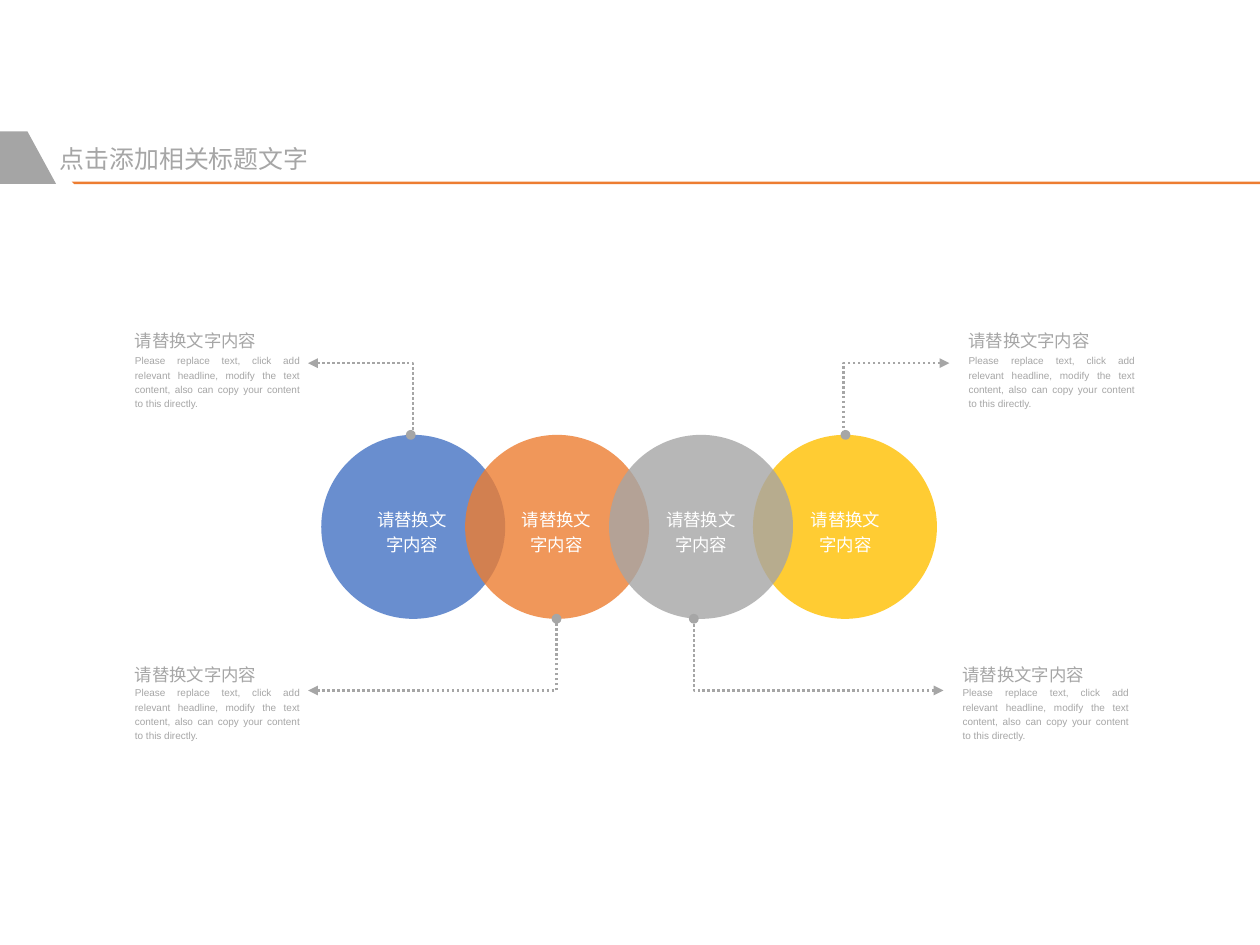
"""Build a slide of four overlapping circles with dotted callouts."""
import pptx
import pptx.dml.color
import pptx.enum.dml
import pptx.enum.shapes
import pptx.enum.text
import pptx.oxml
import pptx.oxml.ns
import pptx.util

Inches = pptx.util.Inches
Align = pptx.enum.text.PP_ALIGN

COLORS = {
    "blue": "4472C4",
    "orange": "ED7D31",
    "gray": "A5A5A5",
    "yellow": "FFC000",
    "text": "A6A6A6",
    "white": "FFFFFF",
}
LABEL = "请替换文字内容"
DETAIL = ("Please replace text, click add relevant headline, modify the text "
          "content, also can copy your content to this directly.")


class Deck:
    """Hold the slide style and draw each kind of element."""

    def __init__(self, width, height):
        """Open a presentation with one blank slide."""
        self.presentation = pptx.Presentation()
        self.presentation.slide_width = Inches(width)
        self.presentation.slide_height = Inches(height)
        self.slide = self.presentation.slides.add_slide(self.presentation.slide_layouts[6])
        self.font = "Arial"

    def color(self, name):
        """Return a named colour."""
        return pptx.dml.color.RGBColor.from_string(COLORS[name])

    def element(self, parent, tag, **attributes):
        """Append a drawing element to a parent."""
        child = pptx.oxml.parse_xml(f"<a:{tag} {pptx.oxml.ns.nsdecls('a')}/>")
        for key, value in attributes.items():
            child.set(key, str(value))
        parent.append(child)

    def paint(self, shape, color):
        """Fill a shape and take off its line and shadow."""
        shape.shadow.inherit = False
        shape.fill.solid()
        shape.fill.fore_color.rgb = self.color(color)
        shape.line.fill.background()

    def circle(self, left, top, size, color):
        """Draw a circle at 80 percent opacity."""
        disc = self.slide.shapes.add_shape(
            pptx.enum.shapes.MSO_SHAPE.OVAL,
            Inches(left), Inches(top), Inches(size), Inches(size))
        self.paint(disc, color)
        rgb = disc.fill._xPr.find(".//" + pptx.oxml.ns.qn("a:srgbClr"))
        self.element(rgb, "alpha", val=80000)

    def polygon(self, points, color):
        """Draw a closed outline."""
        corners = [(Inches(x), Inches(y)) for x, y in points]
        builder = self.slide.shapes.build_freeform(*corners[0])
        builder.add_line_segments(corners[1:], close=True)
        self.paint(builder.convert_to_shape(), color)

    def text(self, box, words, size, color="text", **paragraph_format):
        """Write one paragraph in a box without margins."""
        frame = self.slide.shapes.add_textbox(*map(Inches, box)).text_frame
        frame_format = {
            "margin_left": 0, "margin_top": 0, "margin_right": 0, "margin_bottom": 0,
            "word_wrap": True,
            "auto_size": pptx.enum.text.MSO_AUTO_SIZE.SHAPE_TO_FIT_TEXT,
        }
        for key, value in frame_format.items():
            setattr(frame, key, value)
        paragraph = frame.paragraphs[0]
        for key, value in paragraph_format.items():
            setattr(paragraph, key, value)
        run = paragraph.add_run()
        run.text = words
        for key, value in {"name": self.font, "size": pptx.util.Pt(size)}.items():
            setattr(run.font, key, value)
        run.font.color.rgb = self.color(color)

    def elbow(self, tip, dot, bend):
        """Draw a dotted elbow from an arrow tip to a dot."""
        route = self.slide.shapes.add_connector(
            pptx.enum.shapes.MSO_CONNECTOR.ELBOW, *map(Inches, (*tip, *dot)))
        line_format = {
            "width": pptx.util.Pt(1.5),
            "dash_style": pptx.enum.dml.MSO_LINE.ROUND_DOT,
        }
        for key, value in line_format.items():
            setattr(route.line, key, value)
        route.line.color.rgb = self.color("text")
        properties = route._element.spPr
        outline = properties.find(pptx.oxml.ns.qn("a:ln"))
        self.element(outline, "headEnd", type="triangle")
        self.element(outline, "tailEnd", type="oval")
        self.element(properties, "effectLst")
        guides = properties.find(".//" + pptx.oxml.ns.qn("a:avLst"))
        self.element(guides, "gd", name="adj1", fmla=f"val {round(bend * 100000)}")

    def callout(self, left, top, width, detail_gap):
        """Write a heading with its detail below."""
        style = {"alignment": Align.JUSTIFY, "line_spacing": 1.2}
        self.text((left, top, width, 0.19), LABEL, 10.5, **style)
        self.text((left, top + detail_gap, width, 0.47), DETAIL, 6, **style)


def main():
    """Draw the slide and save it."""
    deck = Deck(10.55, 7.91)

    first_left, pitch, circle_top, diameter = 2.69, 1.205, 3.64, 1.54
    for position, color in ((0, "blue"), (1, "orange"), (3, "yellow"), (2, "gray")):
        deck.circle(first_left + position * pitch, circle_top, diameter, color)
    for position in range(4):
        deck.text((3.11 + position * 1.21, 4.23, 0.68, 0.41), LABEL, 10.5, "white",
                  alignment=Align.CENTER, line_spacing=1.2)

    circle_bottom = circle_top + diameter
    callouts = (
        ((2.58, 3.04), (3.44, circle_top), 1.02, (1.13, 2.73, 1.38, 0.22)),
        ((2.58, 5.78), (4.66, circle_bottom), 1, (1.13, 5.52, 1.38, 0.21)),
        ((7.95, 3.04), (7.08, circle_top), 1.02, (8.11, 2.73, 1.39, 0.22)),
        ((7.9, 5.78), (5.81, circle_bottom), 1, (8.06, 5.52, 1.39, 0.21)),
    )
    for tip, dot, bend, words in callouts:
        deck.elbow(tip, dot, bend)
        deck.callout(*words)

    deck.polygon([(0.6, 1.52), (10.55, 1.52), (10.55, 1.54), (0.62, 1.54)], "orange")
    deck.polygon([(0.23, 1.1), (0.47, 1.54), (0, 1.54), (0, 1.1)], "gray")
    deck.text((0.5, 1.2, 2.52, 0.25), "点击添加相关标题文字", 15,
              space_after=pptx.util.Pt(6))

    deck.presentation.save("out.pptx")


if __name__ == "__main__":
    main()
